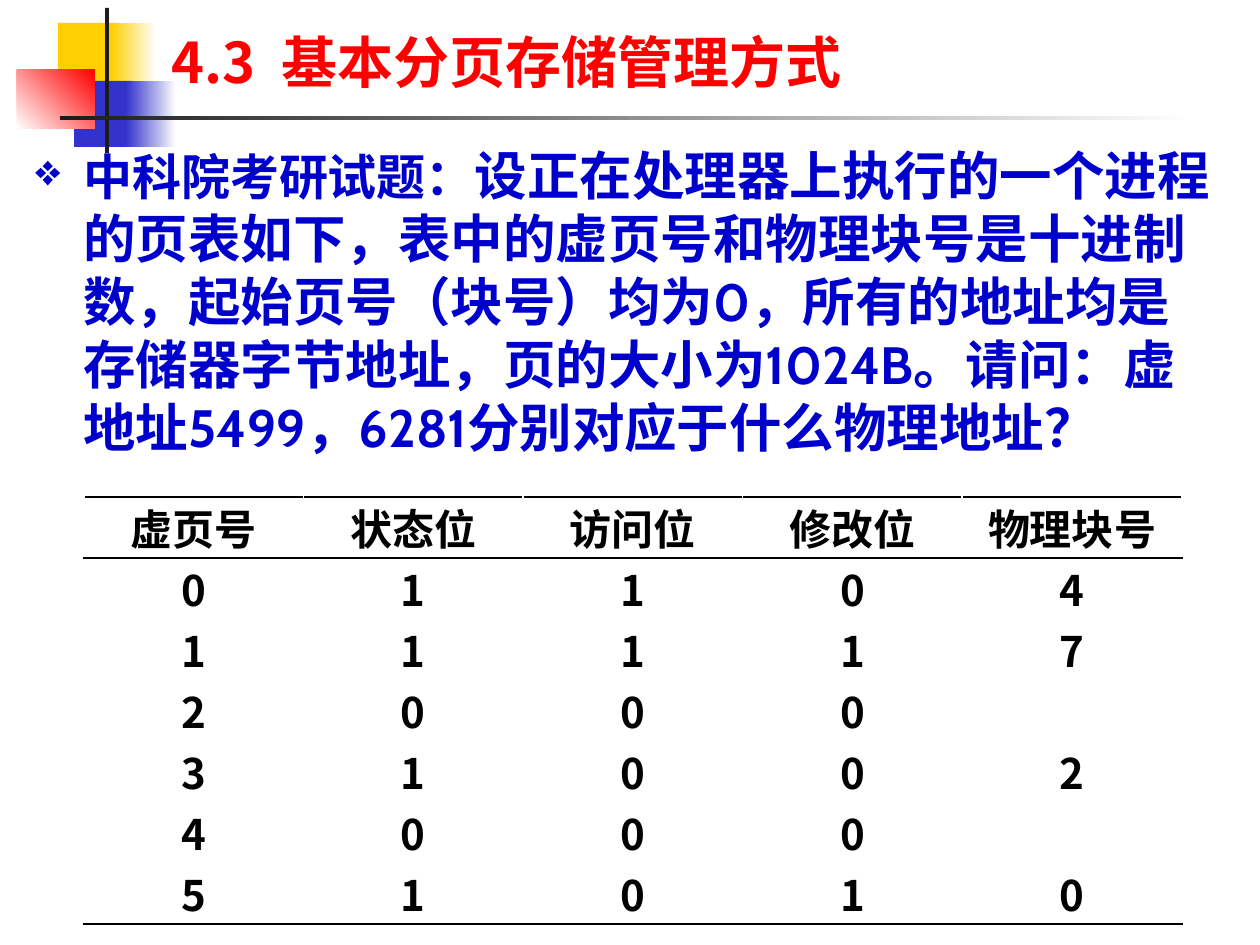
from lxml import etree
from pptx import Presentation, util as u
from pptx.dml.color import RGBColor
from pptx.enum import shapes, text
from pptx.oxml.ns import qn

PX = 914400 / 126
SANS, CABIN = "Noto Sans CJK SC", "Cabin"
RED, BLUE, BLACK, WHITE = "FF0000", "0000CC", "000000", "FFFFFF"
GOLD, NAVY, DARK = "FFCF01", "3333CC", "1C1C1C"
HANG = 48

TITLE = "4.3  基本分页存储管理方式"
BODY = [
    ("中科院考研试题：", 28),
    ("设正在处理器上执行的一个进程的页表如下，表中的虚页号和物理块号是十进制数，"
     "起始页号（块号）均为0，所有的地址均是存储器字节地址，页的大小为1024B。"
     "请问：虚地址5499，6281分别对应于什么物理地址？", 30),
]
PAGES = [
    ("虚页号", "状态位", "访问位", "修改位", "物理块号"),
    ("0", "1", "1", "0", "4"),
    ("1", "1", "1", "1", "7"),
    ("2", "0", "0", "0", ""),
    ("3", "1", "0", "0", "2"),
    ("4", "0", "0", "0", ""),
    ("5", "1", "0", "1", "0"),
]
# box, colours (two make a gradient), angle
DECOR = [
    ((58, 23, 60, 66), (GOLD,), 0),
    ((111, 23, 45, 66), (GOLD, WHITE), 0),
    ((74, 81, 58, 66), (NAVY,), 0),
    ((126, 81, 50, 66), (NAVY, WHITE), 0),
    ((17, 70, 78, 59), (WHITE, RED), 45),
    ((105, 8, 4, 145), (DARK,), 0),
    ((60, 116, 1134, 4), (DARK, WHITE), 0),
]


def px(*vals):
    return [round(v * PX) for v in vals]


def rgb(code):
    return RGBColor.from_string(code)


def style(font, face, size, color):
    font.name, font.size, font.bold = face, u.Pt(size), True
    font.color.rgb = rgb(color)


def east(run, face):
    """Set the East Asian typeface of a run."""
    latin = run.font._element.find(qn("a:latin"))
    node = etree.Element(qn("a:ea"), typeface=face)
    if latin is None:
        run.font._element.append(node)
    else:
        latin.addnext(node)


def hang(para, bullet=None, color=None):
    """Give a paragraph a hanging indent, with or without a bullet."""
    props = para._p.get_or_add_pPr()
    step = px(HANG)[0]
    props.set("marL", str(step))
    props.set("indent", str(-step))
    if not bullet:
        etree.SubElement(props, qn("a:buNone"))
        return
    tint = etree.SubElement(props, qn("a:buClr"))
    etree.SubElement(tint, qn("a:srgbClr"), val=color)
    etree.SubElement(props, qn("a:buSzPct"), val="90000")
    etree.SubElement(props, qn("a:buChar"), char=bullet)


def rule(cell, *sides):
    """Draw a 1 pt line on the given sides, in the order T, B."""
    props = cell._tc.get_or_add_tcPr()
    for i, side in enumerate(sides):
        line = etree.Element(qn("a:ln" + side), w=str(u.Pt(1)))
        fill = etree.SubElement(line, qn("a:solidFill"))
        etree.SubElement(fill, qn("a:srgbClr"), val=BLACK)
        props.insert(i, line)


def add_decor(slide):
    for box, colors, angle in DECOR:
        rect = slide.shapes.add_shape(shapes.MSO_SHAPE.RECTANGLE, *px(*box))
        rect.shadow.inherit = False
        rect.line.fill.background()
        if len(colors) == 1:
            rect.fill.solid()
            rect.fill.fore_color.rgb = rgb(colors[0])
            continue
        rect.fill.gradient()
        rect.fill.gradient_angle = angle
        for stop, color in zip(rect.fill.gradient_stops, colors):
            stop.color.rgb = rgb(color)


def add_title(slide):
    title = slide.shapes.title
    title.left, title.top, title.width, title.height = px(159, 8, 1074, 93)
    frame = title.text_frame
    frame.text = TITLE
    frame.vertical_anchor = text.MSO_ANCHOR.BOTTOM
    para = frame.paragraphs[0]
    para.alignment = text.PP_ALIGN.LEFT
    hang(para)
    style(para.font, SANS, 32, RED)
    east(para.runs[0], SANS)


def add_body(slide):
    frame = slide.shapes.add_textbox(*px(23, 137, 1207, 738)).text_frame
    frame.word_wrap = True
    para = frame.paragraphs[0]
    hang(para, "❖", BLUE)
    for words, size in BODY:
        run = para.add_run()
        run.text = words
        style(run.font, CABIN, size, BLUE)
        east(run, CABIN)


def add_pages(slide):
    rows, cols = len(PAGES), len(PAGES[0])
    box = px(84, 497, 1098, 61 * rows)
    table = slide.shapes.add_table(rows, cols, *box).table
    table.first_row = table.horz_banding = False
    for r, row in enumerate(PAGES):
        for c, words in enumerate(row):
            cell = table.cell(r, c)
            cell.fill.background()
            cell.margin_left = cell.margin_right = px(9)[0]
            cell.margin_top = cell.margin_bottom = 0
            para = cell.text_frame.paragraphs[0]
            para.alignment = text.PP_ALIGN.CENTER
            style(para.font, SANS, 24, BLACK)
            if words:
                run = para.add_run()
                run.text = words
                east(run, SANS)
            if r == 0:
                rule(cell, "T", "B")
            elif r == 1:
                rule(cell, "T")
            elif r == rows - 1:
                rule(cell, "B")


def main():
    deck = Presentation()
    deck.slide_width, deck.slide_height = u.Inches(10), u.Inches(7.5)
    slide = deck.slides.add_slide(deck.slide_layouts[5])
    add_decor(slide)
    add_title(slide)
    add_body(slide)
    add_pages(slide)
    deck.save("out.pptx")


if __name__ == "__main__":
    main()
